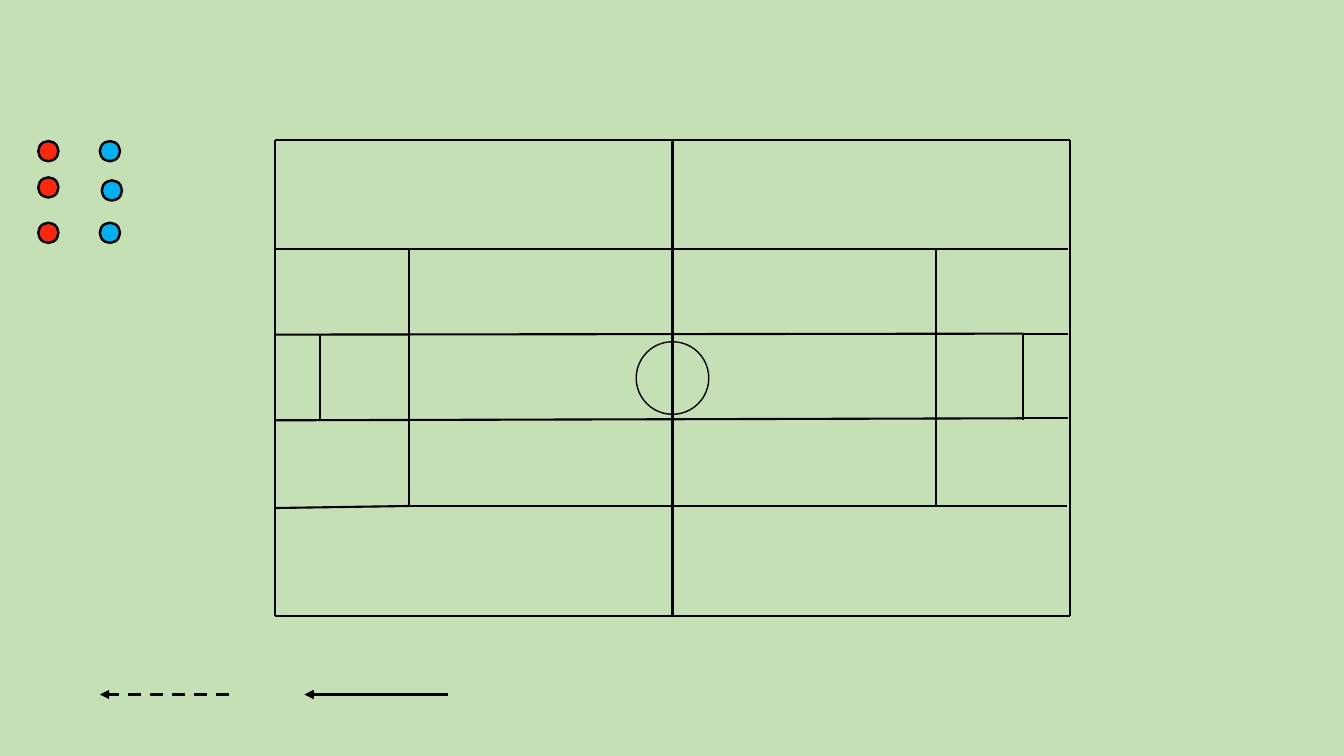
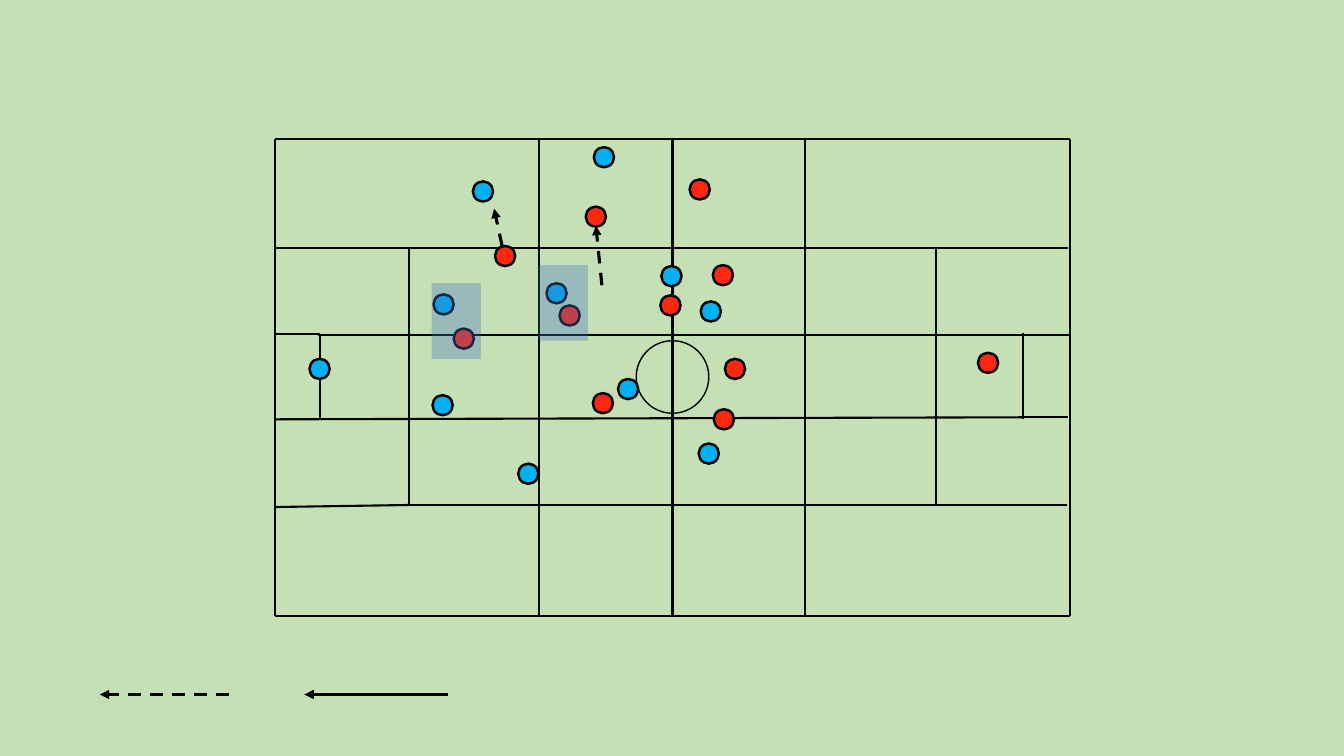
import dataclasses

import lxml.etree
import pptx
import pptx.dml.color
import pptx.enum.dml
import pptx.enum.shapes
import pptx.oxml.ns
import pptx.util

Inches = pptx.util.Inches
SHAPE = pptx.enum.shapes.MSO_SHAPE


@dataclasses.dataclass(frozen=True)
class Theme:
    grass: str = "C6E0B5"
    ink: str = "000000"
    red: str = "FD280F"
    blue: str = "00B0F0"
    zone: str = "4472C4"
    alpha: int = 34
    mark: float = 1.5
    ring: float = 1
    rim: float = 1.75
    move: float = 2.25
    dot: float = 0.2


THEME = Theme()


def color(code):
    return pptx.dml.color.RGBColor.from_string(code)


def child(parent, tag, **attrs):
    node = lxml.etree.SubElement(parent, pptx.oxml.ns.qn(tag))
    for key, value in attrs.items():
        node.set(key, str(value))
    return node


def line(shapes, start, end, width=THEME.mark, dash=False, arrow=False):
    link = shapes.add_connector(
        pptx.enum.shapes.MSO_CONNECTOR.STRAIGHT,
        *(Inches(value) for value in (*start, *end)))
    link.line.color.rgb = color(THEME.ink)
    link.line.width = pptx.util.Pt(width)
    if dash:
        link.line.dash_style = pptx.enum.dml.MSO_LINE.DASH
    props = link._element.spPr
    if arrow:
        child(props.find(pptx.oxml.ns.qn("a:ln")), "a:tailEnd",
              type="triangle")
    child(props, "a:effectLst")
    return link


def shape(shapes, kind, box, fill=None, width=None, alpha=None):
    item = shapes.add_shape(kind, *(Inches(value) for value in box))
    item.shadow.inherit = False
    if fill:
        item.fill.solid()
        item.fill.fore_color.rgb = color(fill)
    else:
        item.fill.background()
    if alpha:
        tint = item._element.spPr.find(
            ".//" + pptx.oxml.ns.qn("a:srgbClr"))
        child(tint, "a:alpha", val=alpha * 1000)
    if width:
        item.line.color.rgb = color(THEME.ink)
        item.line.width = pptx.util.Pt(width)
    else:
        item.line.fill.background()
    return item


def pitch(slide, box, extra):
    left, top, width, height = box
    group = slide.shapes.add_group_shape().shapes
    half = width / 2
    near, far = 1.33, width - 1.33
    upper, lower = 1.08, 3.63
    inset = 0.01
    marks = [
        ((0, 0), (0, height)),
        ((width, 0), (width, height)),
        ((0, 0), (width, 0)),
        ((0, height), (width, height)),
        ((half, 0), (half, height)),
        ((inset, upper), (near, upper)),
        ((near, upper), (far, upper)),
        ((far, upper), (width - 0.02, upper)),
        ((inset, lower + 0.02), (near, lower)),
        ((near, lower), (far, lower)),
        ((far, lower), (width - 0.03, lower)),
        ((near, upper), (near, lower)),
        ((far, upper), (far, lower)),
        ((0.44, 1.93), (0.44, 2.78)),
        ((7.42, 1.92), (7.42, 2.78)),
        ((inset, 2.78), (7.42, 2.76)),
        ((7.42, 2.76), (7.86, 2.76)),
    ]
    for ends in marks + extra:
        line(group, *((left + x, top + y) for x, y in ends))
    ring = 0.72
    shape(group, SHAPE.OVAL,
          (left + half - ring / 2, top + 2, ring, ring), width=THEME.ring)


def team(slide, origin, fill, spots):
    left, top = origin
    for x, y in spots:
        shape(slide.shapes, SHAPE.OVAL,
              (left + x, top + y, THEME.dot, THEME.dot),
              fill=fill, width=THEME.rim)


def move(slide, start, end, dash=True):
    line(slide.shapes, start, end, THEME.move, dash=dash, arrow=True)


def key(slide, box):
    left, top, width = box
    move(slide, (left + 1.28, top), (left, top))
    move(slide, (left + width, top), (left + 2.03, top), dash=False)


def board(deck, box, extra):
    slide = deck.slides.add_slide(deck.slide_layouts[6])
    slide.background.fill.solid()
    slide.background.fill.fore_color.rgb = color(THEME.grass)
    pitch(slide, box, extra)
    key(slide, (0.99, 6.89, 3.45))
    return slide


def setup(deck):
    extra = [((0.01, 1.93), (7.42, 1.92)), ((7.42, 1.92), (7.86, 1.92))]
    slide = board(deck, (2.73, 1.39, 7.88, 4.72), extra)
    bench = (0.38, 1.4)
    team(slide, bench, THEME.red, [(0, 0), (0, 0.36), (0, 0.81)])
    team(slide, bench, THEME.blue, [(0.61, 0), (0.63, 0.39), (0.61, 0.81)])


def play(deck):
    left, top = 2.73, 1.38
    extra = [((0, 1.93), (0.44, 1.93)), ((0.42, 1.94), (7.88, 1.94))]
    extra += [((x, 0), (x, 4.74)) for x in (2.62, 5.25)]
    slide = board(deck, (left, top, 7.88, 4.73), extra)
    move(slide, (left + 2.25, top + 1.06), (left + 2.17, top + 0.69))
    move(slide, (left + 3.24, top + 1.45), (left + 3.18, top + 0.86))
    team(slide, (left, top), THEME.blue, [
        (0.34, 2.18), (1.96, 0.42), (1.57, 1.54), (1.56, 2.54),
        (3.16, 0.08), (3.4, 2.38), (2.69, 1.43), (2.41, 3.22),
        (3.83, 1.26), (4.22, 1.61), (4.2, 3.02)])
    team(slide, (left, top), THEME.red, [
        (3.15, 2.52), (4.11, 0.4), (3.82, 1.55), (4.46, 2.18),
        (2.82, 1.65), (4.35, 2.68), (3.08, 0.67), (2.18, 1.06),
        (4.34, 1.25), (1.77, 1.88), (6.97, 2.12)])
    for x, y in ((1.55, 1.43), (2.61, 1.25)):
        shape(slide.shapes, SHAPE.RECTANGLE, (left + x, top + y, 0.49, 0.75),
              fill=THEME.zone, alpha=THEME.alpha)


def main():
    deck = pptx.Presentation()
    deck.slide_width = Inches(13.33)
    deck.slide_height = Inches(7.5)
    setup(deck)
    play(deck)
    deck.save("out.pptx")


if __name__ == "__main__":
    main()
